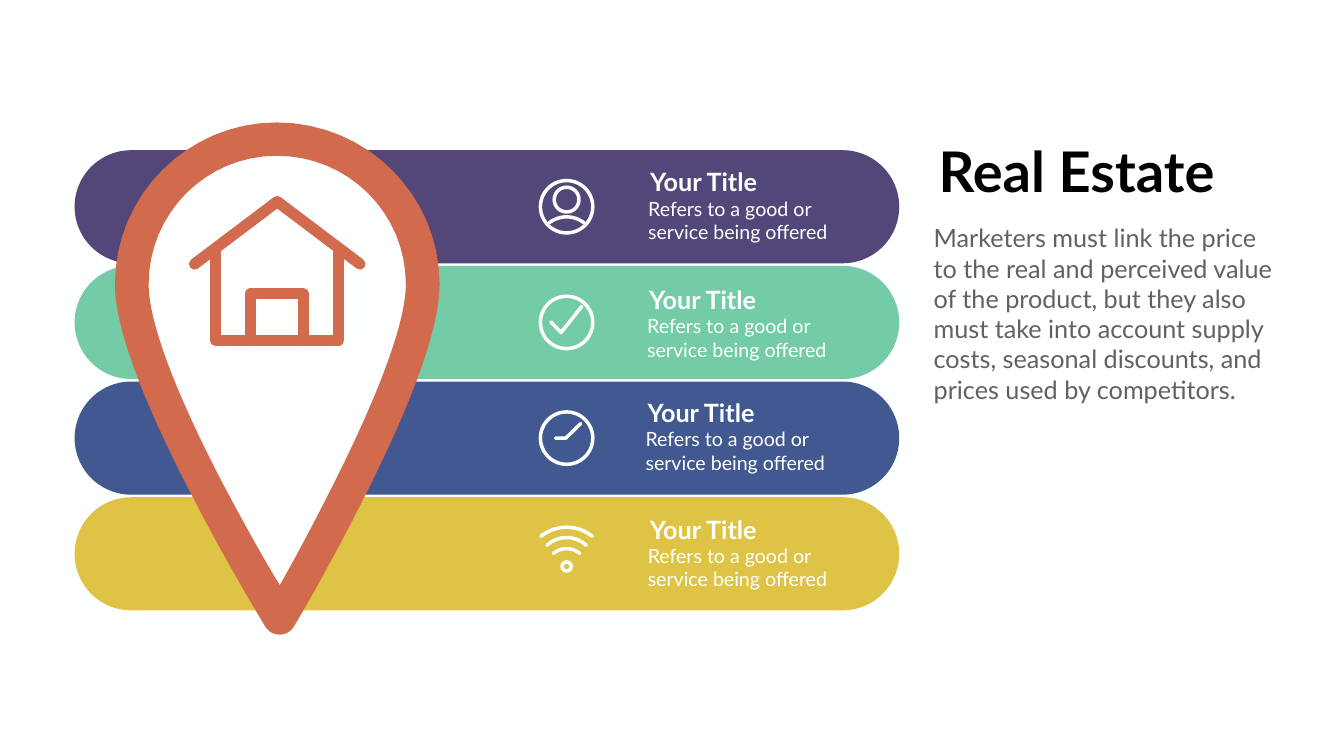
from lxml.etree import SubElement
from pptx import Presentation
from pptx.dml.color import RGBColor
from pptx.enum.shapes import MSO_SHAPE
from pptx.enum.text import MSO_ANCHOR, MSO_AUTO_SIZE, PP_ALIGN
from pptx.oxml.ns import qn
from pptx.util import Cm, Pt

COLORS = {
    "paper": "FEFFFF", "white": "FFFFFF", "black": "000000", "gray": "616161",
    "orange": "D26B4E", "purple": "534679", "green": "73CCA5",
    "blue": "425891", "yellow": "DEC345",
}
FONT = "Lato"
HEADING = "Real Estate"
BODY = ("Marketers must link the price to the real and perceived value of the "
        "product, but they also must take into account supply costs, seasonal "
        "discounts, and prices used by competitors.")
ROW_TITLE = "Your Title"
ROW_LINES = ["Refers to a good or", "service being offered"]


def arc(half_width, end_y, peak_y):
    control_y = (4 * peak_y - end_y) / 3
    return trace([(-half_width, end_y), (-0.4 * half_width, control_y),
                  (0.4 * half_width, control_y), (half_width, end_y)])


def trace(points, steps=16):
    outline = [points[0]]
    for index in range(1, len(points), 3):
        corners = [outline[-1], *points[index:index + 3]]
        for step in range(1, steps + 1):
            t = step / steps
            weights = ((1 - t) ** 3, 3 * t * (1 - t) ** 2, 3 * t * t * (1 - t), t ** 3)
            outline.append(tuple(sum(w * corner[axis] for w, corner in zip(weights, corners))
                                 for axis in (0, 1)))
    return outline


ROWS = [
    {"color": "purple", "text_at": (32.41, 9.78),
     "rings": [(0, 2.64), (-0.36, 1.25)], "strokes": [arc(0.88, 0.81, 0.51)]},
    {"color": "green", "text_at": (32.36, 15.7),
     "rings": [(0, 2.64)], "strokes": [[(-0.79, -0.02), (-0.28, 0.51), (0.77, -0.81)]]},
    {"color": "blue", "text_at": (32.28, 21.41),
     "rings": [(0, 2.64)], "strokes": [[(-0.56, 0), (-0.04, 0), (0.71, -0.73)]]},
    {"color": "yellow", "text_at": (32.39, 27.28),
     "rings": [(0.64, 0.46)],
     "strokes": [arc(1.3, -0.88, -1.34), arc(0.99, -0.43, -0.82), arc(0.66, -0.02, -0.26)]},
]
BAR_LEFT, BAR_TOP, BAR_WIDTH, BAR_HEIGHT, BAR_PITCH = 3.76, 7.57, 41.55, 5.7, 5.83
ICON_X = 28.55

PIN_OUTSIDE = [
    (14.1, 31.98), (13.79, 31.98), (13.54, 31.85), (13.36, 31.57),
    (13.36, 31.55), (11.48, 28.5), (9.63, 24.89),
    (7.09, 19.99), (5.79, 16.43), (5.79, 14.33),
    (5.79, 9.83), (9.47, 6.17), (13.94, 6.17),
    (18.47, 6.17), (22.15, 9.83), (22.15, 14.33),
    (22.15, 16.43), (20.9, 19.99), (18.44, 24.89),
    (16.64, 28.5), (14.83, 31.55), (14.81, 31.57),
    (14.66, 31.83), (14.38, 31.98), (14.1, 31.98),
]
PIN_INSIDE = [
    (13.94, 7.85), (10.39, 7.85), (7.49, 10.74), (7.49, 14.33),
    (7.49, 15.6), (8.1, 18.31), (11.1, 24.13),
    (12.24, 26.29), (13.36, 28.3), (14.1, 29.49),
    (14.78, 28.3), (15.85, 26.31), (16.94, 24.13),
    (19.84, 18.31), (20.45, 15.6), (20.45, 14.33),
    (20.45, 10.74), (17.55, 7.85), (13.94, 7.85),
]
PIN_BACKING = [
    (7.29, 16.87), (7.29, 16.87), (4.45, 7.11), (13.79, 7.11),
    (13.79, 7.11), (18.49, 6.12), (21.03, 13.13),
]
PIN_BACKING_TIP = [(20.7, 17.17), (13.79, 30.68)]
HOUSE = [
    [(9.8, 13.31), (13.97, 10.16), (18.14, 13.31)],
    [(10.87, 12.7), (10.87, 17.16), (17.06, 17.16), (17.06, 12.7)],
    [(12.64, 17.16), (12.64, 14.81), (15.29, 14.81), (15.29, 17.16)],
]


def rgb(name):
    return RGBColor.from_string(COLORS[name])


def fill_shape(shape, color):
    shape.shadow.inherit = False
    shape.fill.solid()
    shape.fill.fore_color.rgb = rgb(color)
    shape.line.fill.background()


def stroke_shape(shape, color, width):
    shape.shadow.inherit = False
    shape.fill.background()
    shape.line.color.rgb = rgb(color)
    shape.line.width = Pt(width)
    line = shape.line._get_or_add_ln()
    line.set("cap", "rnd")
    SubElement(line, qn("a:round"))


def add_outline(shapes, contours, close):
    contours = [[(Cm(x), Cm(y)) for x, y in contour] for contour in contours]
    builder = shapes.build_freeform(*contours[0][0])
    for index, contour in enumerate(contours):
        if index:
            builder.move_to(*contour[0])
        builder.add_line_segments(contour[1:], close=close)
    return builder.convert_to_shape()


def write_text(shape, box, lines, size, color, bold=False, align=PP_ALIGN.LEFT):
    shape.left, shape.top, shape.width, shape.height = (Cm(value) for value in box)
    frame = shape.text_frame
    frame.text = "\n".join(lines)
    frame.word_wrap = True
    frame.auto_size = MSO_AUTO_SIZE.NONE
    frame.vertical_anchor = MSO_ANCHOR.TOP
    for paragraph in frame.paragraphs:
        properties = paragraph._p.get_or_add_pPr()
        properties.set("marL", "0")
        properties.set("indent", "0")
        SubElement(properties, qn("a:buNone"))
        paragraph.alignment = align
        paragraph.space_before = Pt(0)
        for run in paragraph.runs:
            run.font.name = FONT
            run.font.size = Pt(size)
            run.font.bold = bold
            run.font.color.rgb = rgb(color)


def add_text(shapes, box, *style, **options):
    write_text(shapes.add_textbox(0, 0, 0, 0), box, *style, **options)


def add_row(shapes, index, row):
    top = BAR_TOP + index * BAR_PITCH
    bar = shapes.add_shape(MSO_SHAPE.ROUNDED_RECTANGLE, Cm(BAR_LEFT), Cm(top),
                           Cm(BAR_WIDTH), Cm(BAR_HEIGHT))
    bar.adjustments[0] = 0.5
    fill_shape(bar, row["color"])

    icon_y = top + BAR_HEIGHT / 2
    for offset, diameter in row["rings"]:
        ring = shapes.add_shape(MSO_SHAPE.OVAL, Cm(ICON_X - diameter / 2),
                                Cm(icon_y + offset - diameter / 2),
                                Cm(diameter), Cm(diameter))
        stroke_shape(ring, "white", 5)
    for stroke in row["strokes"]:
        placed = [(ICON_X + x, icon_y + y) for x, y in stroke]
        stroke_shape(add_outline(shapes, [placed], False), "white", 5)

    left, text_top = row["text_at"]
    add_text(shapes, (left, text_top, 9.96, 2.57), ROW_LINES, 28, "white")
    add_text(shapes, (left + 0.1, text_top - 1.5, 6.45, 1.3), [ROW_TITLE], 36, "white", bold=True)


def main():
    presentation = Presentation()
    presentation.slide_width, presentation.slide_height = Cm(67.72), Cm(38.1)
    slide = presentation.slides.add_slide(presentation.slide_layouts[1])
    slide.background.fill.solid()
    slide.background.fill.fore_color.rgb = rgb("paper")
    shapes = slide.shapes

    write_text(shapes.title, (46.81, 6.76, 14.88, 3.68), [HEADING], 80, "black",
               bold=True, align=PP_ALIGN.CENTER)
    write_text(slide.placeholders[1], (46.79, 11.1, 17.81, 9.27), [BODY], 36, "gray")
    for index, row in enumerate(ROWS):
        add_row(shapes, index, row)

    backing = trace(PIN_BACKING) + PIN_BACKING_TIP
    fill_shape(add_outline(shapes, [backing], True), "paper")
    pin = [trace(PIN_OUTSIDE), trace(PIN_INSIDE)]
    fill_shape(add_outline(shapes, pin, True), "orange")
    stroke_shape(add_outline(shapes, HOUSE, False), "orange", 16)
    presentation.save("out.pptx")


if __name__ == "__main__":
    main()
